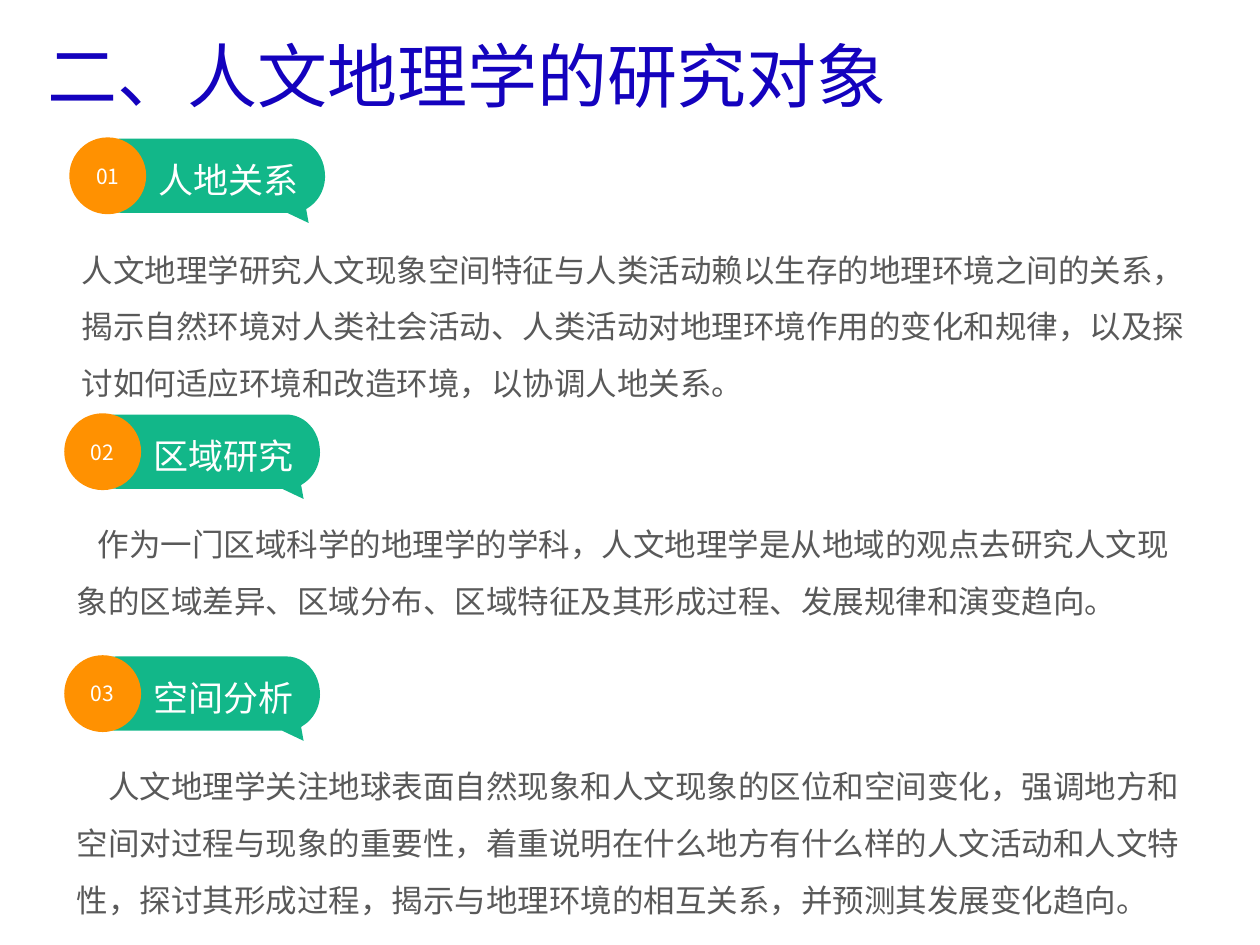
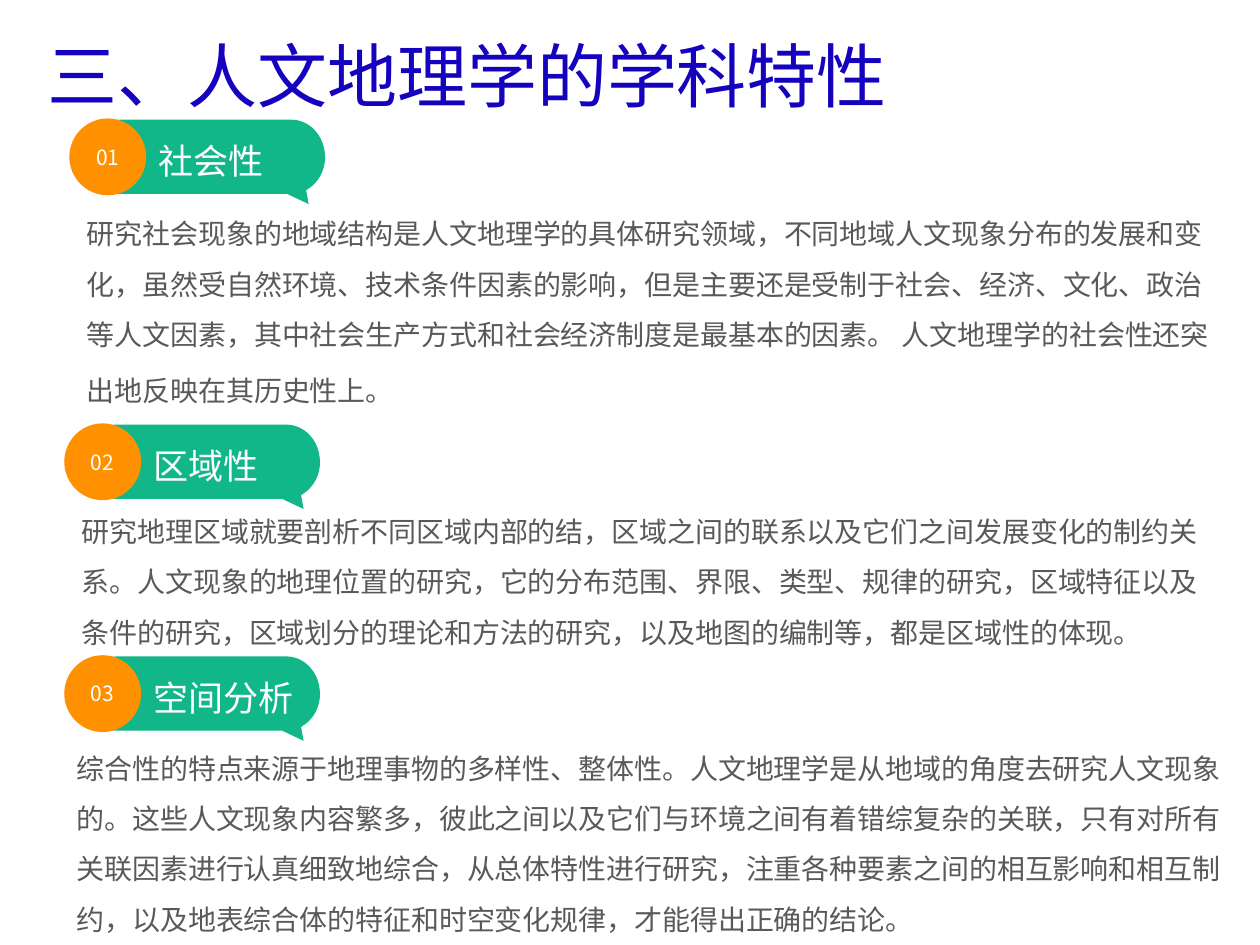
from dataclasses import dataclass

import lxml.etree
import pptx
import pptx.dml.color
import pptx.enum.shapes
import pptx.enum.text
import pptx.oxml.ns
import pptx.util
from pptx.util import Inches

ALIGN = pptx.enum.text.PP_ALIGN


@dataclass(frozen=True)
class Theme:
    font: str = "Noto Sans CJK SC"
    title: str = "1402BE"
    bubble: str = "12B789"
    badge: str = "FF9101"
    light: str = "FFFFFF"
    body: str = "595959"
    title_size: int = 40
    heading_size: int = 20
    badge_size: int = 12


@dataclass(frozen=True)
class Topic:
    heading: str
    badge_at: tuple
    body_at: tuple
    body: str
    size: int = 18
    indent: int = 0
    tail_size: int = 0


BUBBLE_OUTLINE = [
    [(1.61, 0)],
    [(1.76, 0), (1.88, 0.13), (1.88, 0.3)],
    [(1.88, 0.4), (1.83, 0.49), (1.76, 0.54)],
    [(1.73, 0.56)],
    [(1.75, 0.67)],
    [(1.58, 0.59)],
    [(0.27, 0.59)],
    [(0.14, 0.59), (0.03, 0.49), (0, 0.36)],
    [(0, 0.24)],
    [(0.03, 0.1), (0.14, 0), (0.27, 0)],
]


def trace(start, segments, steps=12):
    points = [start]
    for segment in segments:
        if len(segment) == 1:
            points += segment
            continue
        corners = [points[-1], *segment]
        for step in range(1, steps + 1):
            t = step / steps
            weights = ((1 - t) ** 3, 3 * t * (1 - t) ** 2, 3 * t * t * (1 - t), t ** 3)
            points.append(tuple(sum(w * corner[axis] for w, corner in zip(weights, corners))
                                for axis in (0, 1)))
    return points


class TopicDeck:
    def __init__(self, theme):
        self.theme = theme
        self.deck = pptx.Presentation()
        self.deck.slide_width = Inches(10)
        self.deck.slide_height = Inches(7.5)
        self.page = None

    def add_page(self, title, topics):
        self.page = self.deck.slides.add_slide(self.deck.slide_layouts[6])
        for number, topic in enumerate(topics, 1):
            self.topic(number, topic)
        self.text(self.page.shapes, (0.28, 0.21, 7.42, 0.78), title,
                  self.theme.title_size, self.theme.title)

    def paint(self, shape, color):
        shape.shadow.inherit = False
        shape.fill.solid()
        shape.fill.fore_color.rgb = pptx.dml.color.RGBColor.from_string(color)
        shape.line.fill.background()

    def style(self, para, size, color):
        para.font.size = pptx.util.Pt(size)
        para.font.color.rgb = pptx.dml.color.RGBColor.from_string(color)
        para.font.name = self.theme.font
        properties = para._p.pPr.find(pptx.oxml.ns.qn("a:defRPr"))
        lxml.etree.SubElement(properties, pptx.oxml.ns.qn("a:ea"), typeface=self.theme.font)

    def text(self, shapes, at, words, size, color, indent=0):
        box = shapes.add_textbox(*map(Inches, at))
        box.text_frame.word_wrap = True
        para = box.text_frame.paragraphs[0]
        para.text = words
        if indent:
            para._p.get_or_add_pPr().set("indent", str(pptx.util.Pt(indent)))
        self.style(para, size, color)
        return box

    def bubble(self, shapes, left, top):
        points = [(Inches(left + x), Inches(top + y))
                  for x, y in trace((0.27, 0), BUBBLE_OUTLINE)]
        builder = shapes.build_freeform(*points[0])
        builder.add_line_segments(points[1:], close=True)
        self.paint(builder.convert_to_shape(), self.theme.bubble)

    def badge(self, shapes, left, top, number):
        badge = shapes.add_shape(pptx.enum.shapes.MSO_SHAPE.OVAL, Inches(left), Inches(top),
                                 Inches(0.61), Inches(0.61))
        self.paint(badge, self.theme.badge)
        frame = badge.text_frame
        frame.margin_left = frame.margin_right = Inches(0.07)
        frame.margin_top = frame.margin_bottom = Inches(0.04)
        frame.vertical_anchor = pptx.enum.text.MSO_ANCHOR.MIDDLE
        para = frame.paragraphs[0]
        para.text = f"{number:02}"
        para.alignment = ALIGN.CENTER
        self.style(para, self.theme.badge_size, self.theme.light)

    def topic(self, number, topic):
        shapes = self.page.shapes.add_group_shape().shapes
        left, top = topic.badge_at
        self.bubble(shapes, left + 0.15, top + 0.01)
        self.badge(shapes, left, top, number)
        self.text(shapes, (left + 0.61, top + 0.12, 1.62, 0.44), topic.heading,
                  self.theme.heading_size, self.theme.light)
        body = self.text(shapes, topic.body_at, topic.body, topic.size,
                         self.theme.body, topic.indent)
        body.text_frame.auto_size = pptx.enum.text.MSO_AUTO_SIZE.SHAPE_TO_FIT_TEXT
        para = body.text_frame.paragraphs[0]
        para.line_spacing = 1.5
        if topic.tail_size:
            span = para.add_run()
            span.text = " "
            span.font.size = pptx.util.Pt(topic.tail_size)


RESEARCH_OBJECTS = [
    Topic("人地关系", (0.55, 1.09), (0.55, 1.79, 8.97, 1.46),
          "人文地理学研究人文现象空间特征与人类活动赖以生存的地理环境之间的关系，"
          "揭示自然环境对人类社会活动、人类活动对地理环境作用的变化和规律，"
          "以及探讨如何适应环境和改造环境，以协调人地关系。"),
    Topic("区域研究", (0.51, 3.28), (0.51, 3.97, 9.07, 1.01),
          "作为一门区域科学的地理学的学科，人文地理学是从地域的观点去研究人文现象的"
          "区域差异、区域分布、区域特征及其形成过程、发展规律和演变趋向。", indent=12),
    Topic("空间分析", (0.51, 5.2), (0.51, 5.89, 9.01, 1.46),
          "人文地理学关注地球表面自然现象和人文现象的区位和空间变化，"
          "强调地方和空间对过程与现象的重要性，着重说明在什么地方有什么样的人文活动和人文特性，"
          "探讨其形成过程，揭示与地理环境的相互关系，并预测其发展变化趋向。", indent=18),
]

DISCIPLINE_TRAITS = [
    Topic("社会性", (0.55, 0.94), (0.59, 1.54, 9.19, 1.77),
          "研究社会现象的地域结构是人文地理学的具体研究领域，"
          "不同地域人文现象分布的发展和变化，虽然受自然环境、技术条件因素的影响，"
          "但是主要还是受制于社会、经济、文化、政治等人文因素，"
          "其中社会生产方式和社会经济制度是最基本的因素。 "
          "人文地理学的社会性还突出地反映在其历史性上。", size=16, tail_size=18),
    Topic("区域性", (0.51, 3.36), (0.55, 3.9, 9.21, 1.31),
          "研究地理区域就要剖析不同区域内部的结，区域之间的联系以及它们之间发展变化的制约关系。"
          "人文现象的地理位置的研究，它的分布范围、界限、类型、规律的研究，"
          "区域特征以及条件的研究，区域划分的理论和方法的研究，"
          "以及地图的编制等，都是区域性的体现。", size=16),
    Topic("空间分析", (0.51, 5.2), (0.51, 5.78, 9.34, 1.72),
          "综合性的特点来源于地理事物的多样性、整体性。"
          "人文地理学是从地域的角度去研究人文现象的。"
          "这些人文现象内容繁多，彼此之间以及它们与环境之间有着错综复杂的关联，"
          "只有对所有关联因素进行认真细致地综合，从总体特性进行研究，"
          "注重各种要素之间的相互影响和相互制约，"
          "以及地表综合体的特征和时空变化规律，才能得出正确的结论。", size=16),
]


def main():
    slides = TopicDeck(Theme())
    slides.add_page("二、人文地理学的研究对象", RESEARCH_OBJECTS)
    slides.add_page("三、人文地理学的学科特性", DISCIPLINE_TRAITS)
    slides.deck.save("out.pptx")


if __name__ == "__main__":
    main()
